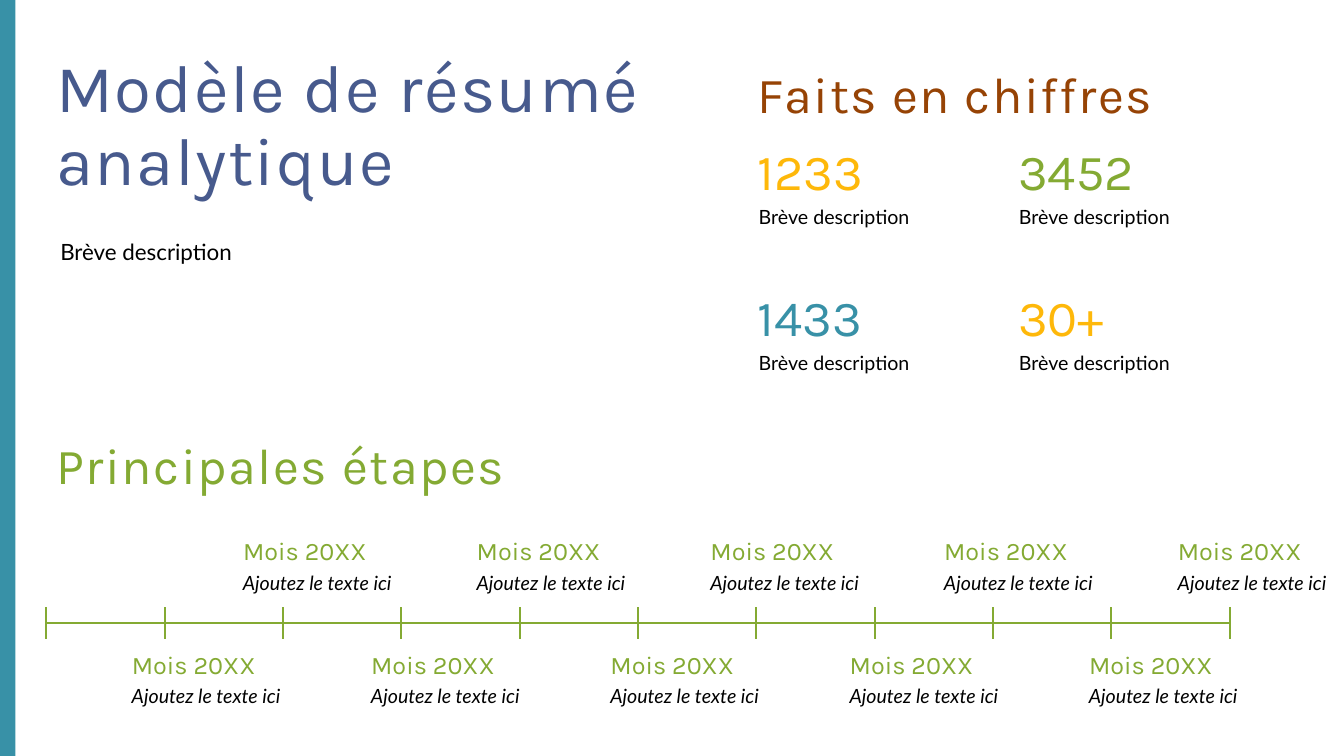
import pptx
import pptx.dml.color
import pptx.enum.shapes
import pptx.enum.text
import pptx.util
from lxml import etree

Cm = pptx.util.Cm
RGBColor = pptx.dml.color.RGBColor
MSO_SHAPE = pptx.enum.shapes.MSO_SHAPE

INDIGO = RGBColor(0x47, 0x5A, 0x8D)
BROWN = RGBColor(0x96, 0x43, 0x05)
AMBER = RGBColor(0xFE, 0xB8, 0x0A)
TEAL = RGBColor(0x38, 0x91, 0xA7)
GREEN = RGBColor(0x84, 0xAA, 0x33)
BLACK = RGBColor(0x00, 0x00, 0x00)
HEADING_FONT = "Karla"
BODY_FONT = "Lato"
DESCRIPTION = "Brève description"


def add_text(shapes, text, left, top, width, height, *, size, color=BLACK,
             font=BODY_FONT, italic=False, line_spacing=1.0, tracking=0, rounded=False):
    """Add text in a plain or rounded box; lengths in cm, tracking in points."""
    bounds = Cm(left), Cm(top), Cm(width), Cm(height)
    if rounded:
        box = shapes.add_shape(MSO_SHAPE.ROUNDED_RECTANGLE, *bounds)
        box.adjustments[0] = 0.08
        box.shadow.inherit = False
        box.fill.background()
        box.line.fill.background()
    else:
        box = shapes.add_textbox(*bounds)
    frame = box.text_frame
    frame.word_wrap = True
    frame.vertical_anchor = pptx.enum.text.MSO_ANCHOR.TOP
    para = frame.paragraphs[0]
    para.alignment = pptx.enum.text.PP_ALIGN.LEFT
    para.line_spacing = line_spacing
    span = para.add_run()
    span.text = text
    span.font.name = font
    span.font.size = pptx.util.Pt(size)
    span.font.italic = italic
    span.font.color.rgb = color
    if tracking:
        span.font._element.set("spc", str(round(tracking * 100)))


def add_line(shapes, x1, y1, x2, y2):
    line = shapes.add_connector(
        pptx.enum.shapes.MSO_CONNECTOR.STRAIGHT, Cm(x1), Cm(y1), Cm(x2), Cm(y2))
    line.line.color.rgb = GREEN
    line.line.width = pptx.util.Pt(1.5)
    etree.SubElement(line._element.spPr, pptx.oxml.ns.qn("a:effectLst"))


deck = pptx.Presentation()
deck.slide_width = Cm(33.87)
deck.slide_height = Cm(19.05)
page = deck.slides.add_slide(deck.slide_layouts[6])

# Headings
headings = [
    ("Modèle de résumé analytique", 1.17, 1.25, 17.73, 3.91, 48, INDIGO),
    ("Faits en chiffres", 18.85, 1.63, 13.59, 3.45, 36, BROWN),
    ("Principales étapes", 1.17, 11.0, 13.59, 1.63, 36, GREEN),
]
for text, left, top, width, height, size, color in headings:
    add_text(page.shapes, text, left, top, width, height, size=size, color=color,
             font=HEADING_FONT, line_spacing=0.9, tracking=1.1)
add_text(page.shapes, DESCRIPTION, 1.17, 5.77, 14.71, 4.34, size=16, rounded=True)

# Key figures, two by two
figures = [[("1233", AMBER), ("3452", GREEN)], [("1433", TEAL), ("30+", AMBER)]]
for row, pairs in enumerate(figures):
    for column, (number, color) in enumerate(pairs):
        left = 18.85 + column * 6.56
        top = 3.59 + row * 3.68
        add_text(page.shapes, number, left, top, 3.65, 1.63, size=36, color=color,
                 font=HEADING_FONT, line_spacing=0.9)
        add_text(page.shapes, DESCRIPTION, left, top + 1.42, 7, 0.89, size=14,
                 rounded=True)

# Timeline axis with evenly spaced ticks
AXIS_LEFT, AXIS_RIGHT, AXIS_Y = 1.17, 30.99, 15.7
INTERVALS = 10
axis = page.shapes.add_group_shape()
add_line(axis.shapes, AXIS_LEFT, AXIS_Y, AXIS_RIGHT, AXIS_Y)
for tick in range(INTERVALS + 1):
    x = AXIS_LEFT + tick * (AXIS_RIGHT - AXIS_LEFT) / INTERVALS
    add_line(axis.shapes, x, AXIS_Y - 0.4, x, AXIS_Y + 0.4)

# Milestones below and above the axis: first left, step, top
for first_left, step, top in [(3.05, 6.03, 16.21), (5.85, 5.89, 13.34)]:
    for index in range(5):
        left = first_left + index * step
        milestone = page.shapes.add_group_shape()
        add_text(milestone.shapes, "Mois 20XX", left, top, 7, 1.07, size=18,
                 color=GREEN, font=HEADING_FONT, rounded=True)
        add_text(milestone.shapes, "Ajoutez le texte ici", left, top + 0.89, 7, 0.89,
                 size=14, italic=True, rounded=True)

# Side band
band = page.shapes.add_shape(MSO_SHAPE.RECTANGLE, Cm(0), Cm(-0.05), Cm(0.39), Cm(19.13))
band.shadow.inherit = False
band.fill.solid()
band.fill.fore_color.rgb = TEAL
band.line.fill.background()

deck.save("out.pptx")
